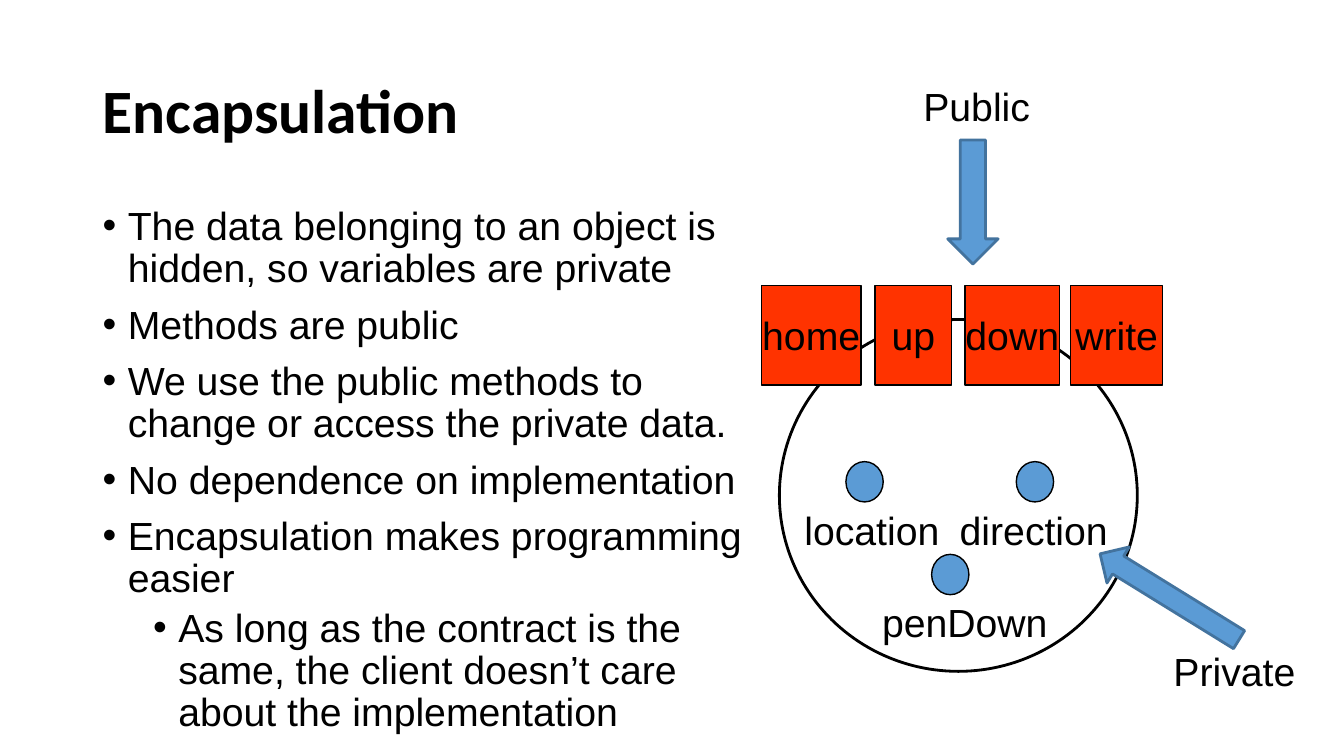
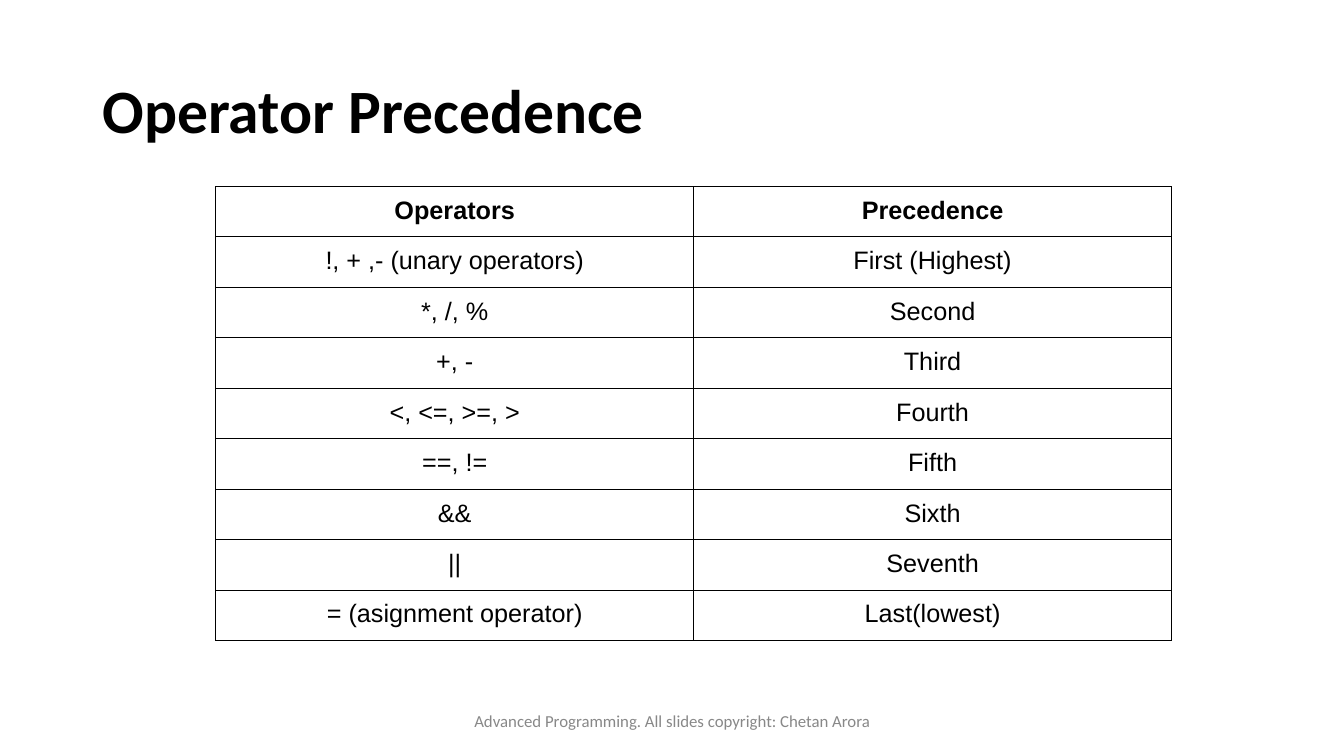
import pptx
import pptx.util
import pptx.dml.color
import pptx.enum.shapes
import pptx.enum.text
import pptx.oxml
import pptx.oxml.ns
from lxml import etree

Inches, Pt = pptx.util.Inches, pptx.util.Pt
RGBColor = pptx.dml.color.RGBColor
SHAPE = pptx.enum.shapes.MSO_SHAPE
ALIGN = pptx.enum.text.PP_ALIGN
ANCHOR = pptx.enum.text.MSO_ANCHOR
AUTO_SIZE = pptx.enum.text.MSO_AUTO_SIZE
qn = pptx.oxml.ns.qn

BLACK = RGBColor(0x00, 0x00, 0x00)
GREY = RGBColor(0x88, 0x88, 0x88)
BLUE = RGBColor(0x5B, 0x9B, 0xD5)
DARK_BLUE = RGBColor(0x43, 0x73, 0x9E)
RED = RGBColor(0xFF, 0x33, 0x00)

POINTS = [  # level, text
    (0, "The data belonging to an object is hidden, so variables are private"),
    (0, "Methods are public"),
    (0, "We use the public methods to change or access the private data."),
    (0, "No dependence on implementation"),
    (0, "Encapsulation makes programming easier"),
    (1, "As long as the contract is the same, the client doesn’t care about the implementation"),
]
METHODS = [("home", 7.55, 0.99), ("up", 8.68, 0.76), ("down", 9.57, 0.94), ("write", 10.62, 0.91)]
VARIABLES = [  # name, dot left and top, label left and width
    ("location", 8.39, 4.58, 7.88, 1.56),
    ("penDown", 9.24, 5.5, 8.65, 1.86),
    ("direction", 10.08, 4.58, 9.42, 1.69),
]
DOT_TO_LABEL = 0.39
ACCESS_LABELS = [("Public", 9.06, 0.77, 1.27), ("Private", 11.54, 6.37, 1.43)]
ACCESS_ARROWS = [
    (SHAPE.DOWN_ARROW, (9.4, 1.39, 0.5, 1.23), 0),
    (SHAPE.RIGHT_ARROW, (10.79, 5.71, 1.62, 0.42), 211.7),
]
PRECEDENCE = [
    ("Operators", "Precedence"),
    ("!, + ,- (unary operators)", "First (Highest)"),
    ("*, /, %", "Second"),
    ("+, -", "Third"),
    ("<, <=, >=, >", "Fourth"),
    ("==, !=", "Fifth"),
    ("&&", "Sixth"),
    ("||", "Seventh"),
    ("= (asignment operator)", "Last(lowest)"),
]
FOOTER = "Advanced Programming. All slides copyright: Chetan Arora"


def set_font(paragraph, size=28, name="Arial", color=BLACK, bold=False):
    font = paragraph.font
    font.size, font.name, font.bold = Pt(size), name, bold
    font.color.rgb = color


def add_text(shapes, text, box, wrap=True, anchor=ANCHOR.TOP, **font):
    textbox = shapes.add_textbox(*map(Inches, box))
    frame = textbox.text_frame
    frame.word_wrap = wrap
    frame.vertical_anchor = anchor
    frame.text = text
    set_font(frame.paragraphs[0], **font)
    return frame


def add_label(shapes, text, left, top, width):
    frame = add_text(shapes, text, (left, top, width, 0.57), wrap=False)
    frame.auto_size = AUTO_SIZE.SHAPE_TO_FIT_TEXT


def add_figure(shapes, kind, box, fill, line=BLACK, weight=1):
    figure = shapes.add_shape(kind, *map(Inches, box))
    figure.shadow.inherit = False
    if fill is None:
        figure.fill.background()
    else:
        figure.fill.solid()
        figure.fill.fore_color.rgb = fill
    figure.line.color.rgb = line
    figure.line.width = Pt(weight)
    return figure


def add_titled_slide(deck, title):
    slide = deck.slides.add_slide(deck.slide_layouts[6])
    frame = add_text(slide.shapes, title, (0.92, 0.4, 11.5, 1.45), anchor=ANCHOR.MIDDLE,
                     size=44, name="Calibri", bold=True)
    frame.paragraphs[0].line_spacing = 0.9
    return slide


def add_bullet(paragraph, level):
    properties = paragraph._p.get_or_add_pPr()
    properties.set("marL", str(Inches(0.25 + 0.5 * level)))
    properties.set("indent", str(Inches(-0.25)))
    etree.SubElement(properties, qn("a:buFont")).set("typeface", "Arial")
    etree.SubElement(properties, qn("a:buChar")).set("char", "•")


def add_points(slide):
    frame = add_text(slide.shapes, "", (0.92, 2, 6.63, 5.37))
    for index, (level, text) in enumerate(POINTS):
        paragraph = frame.add_paragraph() if index else frame.paragraphs[0]
        paragraph.text = text
        paragraph.level = level
        paragraph.line_spacing = 0.9
        paragraph.space_before = Pt(5 if level else 10)
        set_font(paragraph)
        add_bullet(paragraph, level)


def add_object_diagram(slide):
    parts = slide.shapes.add_group_shape().shapes
    add_figure(parts, SHAPE.OVAL, (7.73, 3.17, 3.55, 3.49), None, weight=2)
    for name, left, top, label_left, label_width in VARIABLES:
        add_figure(parts, SHAPE.OVAL, (left, top, 0.37, 0.4), BLUE)
        add_label(parts, name, label_left, top + DOT_TO_LABEL, label_width)
    for name, left, width in METHODS:
        method = add_figure(parts, SHAPE.RECTANGLE, (left, 2.83, width, 0.99), RED)
        frame = method.text_frame
        frame.word_wrap = False
        frame.vertical_anchor = ANCHOR.MIDDLE
        frame.text = name
        frame.paragraphs[0].alignment = ALIGN.CENTER
        set_font(frame.paragraphs[0])
    for kind, box, rotation in ACCESS_ARROWS:
        add_figure(slide.shapes, kind, box, BLUE, DARK_BLUE, 2).rotation = rotation
    for label in ACCESS_LABELS:
        add_label(slide.shapes, *label)


def add_borders(cell):
    properties = cell._tc.get_or_add_tcPr()
    for side in ("lnL", "lnR", "lnT", "lnB"):
        border = etree.SubElement(properties, qn("a:" + side), w=str(Pt(0.75)))
        fill = etree.SubElement(border, qn("a:solidFill"))
        etree.SubElement(fill, qn("a:srgbClr")).set("val", str(BLACK))


def add_precedence_table(slide):
    row_height = 0.48
    table = slide.shapes.add_table(
        len(PRECEDENCE), 2, Inches(2.14), Inches(1.85),
        Inches(9.48), Inches(row_height * len(PRECEDENCE))).table
    table.first_row = table.horz_banding = False
    for row, texts in enumerate(PRECEDENCE):
        for column, text in enumerate(texts):
            cell = table.cell(row, column)
            cell.text = text
            cell.margin_top = cell.margin_bottom = Inches(0.1)
            add_borders(cell)
            cell.fill.background()
            paragraph = cell.text_frame.paragraphs[0]
            paragraph.alignment = ALIGN.CENTER
            set_font(paragraph, size=18, bold=row == 0)


def add_footer(slide):
    frame = add_text(slide.shapes, FOOTER, (4.42, 6.95, 4.5, 0.4), anchor=ANCHOR.MIDDLE,
                     size=12, name="Calibri", color=GREY)
    frame.paragraphs[0].alignment = ALIGN.CENTER


def main():
    deck = pptx.Presentation()
    deck.slide_width, deck.slide_height = Inches(13.33), Inches(7.5)

    encapsulation = add_titled_slide(deck, "Encapsulation")
    add_points(encapsulation)
    add_object_diagram(encapsulation)

    precedence = add_titled_slide(deck, "Operator Precedence")
    add_footer(precedence)
    add_precedence_table(precedence)

    deck.save("out.pptx")


if __name__ == "__main__":
    main()
